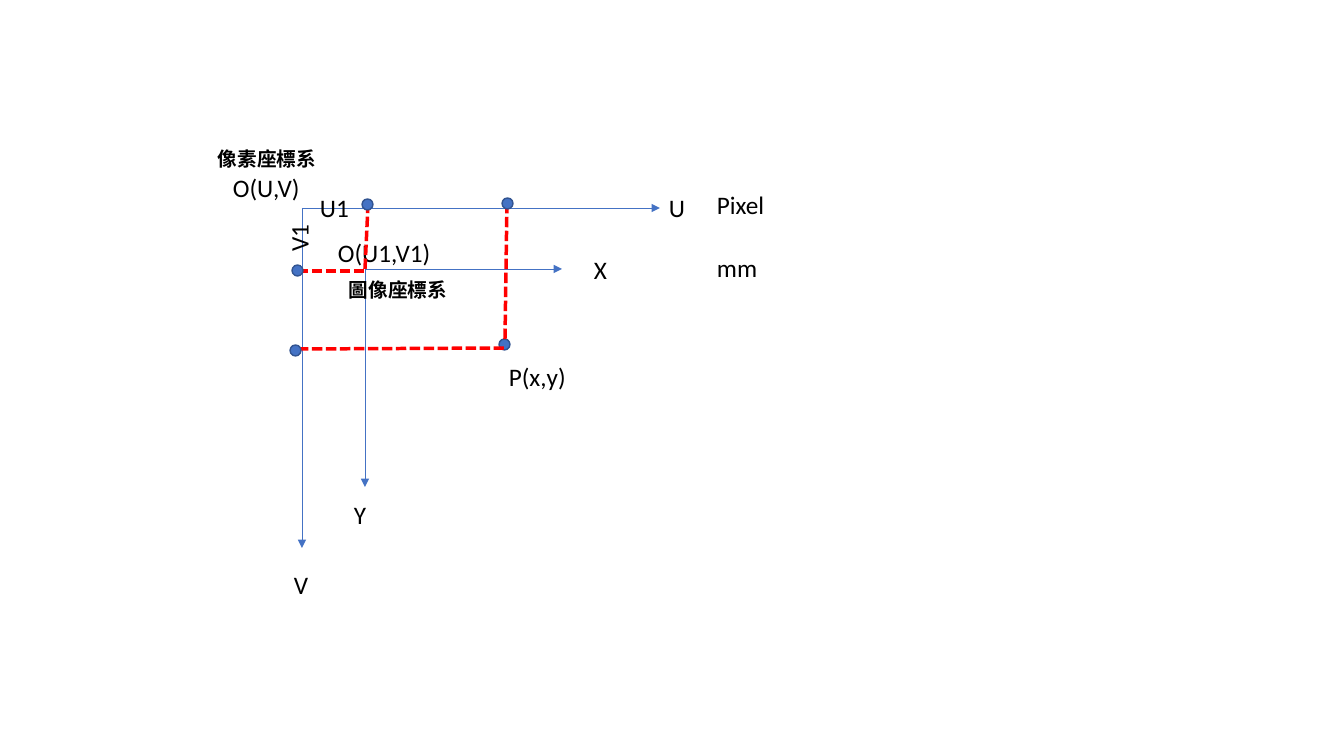
from lxml import etree
from pptx import Presentation
from pptx import util as u
from pptx.dml.color import RGBColor
from pptx.enum import dml, shapes, text
from pptx.oxml.ns import qn

PX = 914400 / 100.8
BLUE, EDGE, RED, BLACK = "4472C4", "325491", "FF0000", "000000"
DOT = 11

deck = Presentation()
deck.slide_width, deck.slide_height = round(1344 * PX), round(756 * PX)
slide = deck.slides.add_slide(deck.slide_layouts[6])


def label(words, left, top, width, height=40, size=18, font="Calibri",
          bold=False, wrap=False, rotation=0):
    box = slide.shapes.add_textbox(*(round(n * PX) for n in (left, top, width, height)))
    box.rotation = rotation
    frame = box.text_frame
    frame.word_wrap = wrap
    frame.auto_size = text.MSO_AUTO_SIZE.SHAPE_TO_FIT_TEXT
    run = frame.paragraphs[0].add_run()
    run.text = words
    run.font.size, run.font.name, run.font.bold = u.Pt(size), font, bold
    run.font.color.rgb = RGBColor.from_string(BLACK)
    etree.SubElement(run.font._element, qn("a:ea"), typeface=font)


def line(ends, color, weight):
    connector = slide.shapes.add_connector(
        shapes.MSO_CONNECTOR.STRAIGHT, *(round(n * PX) for n in ends))
    connector.line.color.rgb = RGBColor.from_string(color)
    connector.line.width = u.Pt(weight)
    etree.SubElement(connector._element.spPr, qn("a:effectLst"))
    return connector


for origin_x, origin_y, right, bottom in [(302, 208, 660, 548), (365, 269, 562, 487)]:
    for end_x, end_y in [(origin_x, bottom), (right, origin_y)]:
        axis = line((origin_x, origin_y, end_x, end_y), BLUE, 0.5)
        etree.SubElement(axis.line._get_or_add_ln(), qn("a:tailEnd"), type="triangle")

label("Pixel", 707, 184, 129, wrap=True)
label("mm", 707, 247, 61)
for system, left, top in [("圖像座標系", 339, 273), ("像素座標系", 208, 142)]:
    label(system, left, top, 120, 34, size=14, font="Noto Sans CJK SC", bold=True, wrap=True)
label("P(x,y)", 499, 356, 82, wrap=True)
for name, left, top, width in [
    ("O(U,V)", 223, 167, 88),
    ("U", 659, 187, 36),
    ("V", 284, 564, 35),
    ("X", 584, 249, 33),
    ("Y", 344, 494, 32),
    ("O(U1,V1)", 328, 232, 114),
]:
    label(name, left, top, width)

for projection, left, top in [
    (None, 499, 339),
    ((365, 269, 368, 205), 362, 199),
    ((505, 339, 507, 202), 502, 198),
    ((298, 349, 504, 348), 290, 345),
    ((298, 271, 365, 271), 292, 265),
]:
    if projection:
        line(projection, RED, 2.5).line.dash_style = dml.MSO_LINE.SQUARE_DOT
    point = slide.shapes.add_shape(
        shapes.MSO_SHAPE.OVAL, *(round(n * PX) for n in (left, top, DOT, DOT)))
    point.shadow.inherit = False
    point.fill.solid()
    point.fill.fore_color.rgb = RGBColor.from_string(BLUE)
    point.line.color.rgb = RGBColor.from_string(EDGE)
    point.line.width = u.Pt(1)

label("U1", 310, 187, 75, wrap=True)
label("V1", 275, 218, 47, rotation=270)

deck.save("out.pptx")
